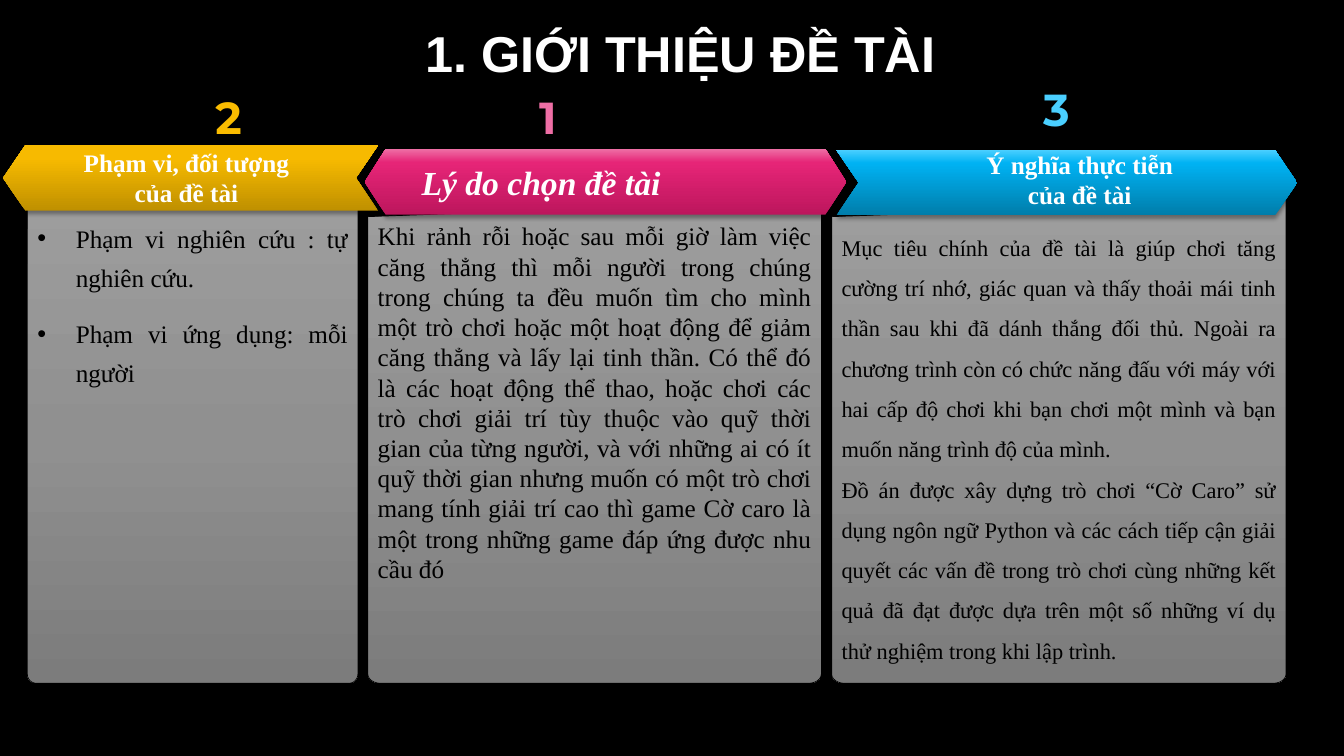
from dataclasses import dataclass
from math import cos, radians, sin

from lxml.etree import SubElement
from pptx import Presentation
from pptx.dml.color import RGBColor
from pptx.enum.shapes import MSO_SHAPE as Kind
from pptx.enum.text import MSO_ANCHOR as Anchor, PP_ALIGN as Align
from pptx.oxml.ns import qn
from pptx.util import Cm, Pt

SERIF = "Times New Roman"
BLACK, WHITE = "000000", "FFFFFF"
GREYS = ((0, "9D9D9D"), (50, "909090"), (100, "7C7C7C"))
BASE, HIGH = 17.22, 1.65
SIDE, CURVE = 0.25, 0.23


@dataclass
class Panel:
    left: float
    right: float
    near: float
    far: float
    round: float
    text: str
    style: dict


@dataclass
class Ribbon:
    kind: Kind
    left: float
    top: float
    width: float
    tones: tuple
    adjust: float
    flip: bool = False


@dataclass
class Label:
    text: str
    box: tuple
    style: dict


@dataclass
class Column:
    panel: Panel
    ribbon: Ribbon
    number: Label
    title: Label


def color(code: str) -> RGBColor:
    return RGBColor.from_string(code)


def write(shape, text: str, *, size: float, font: str = SERIF, tint: str = BLACK,
          bold: bool = False, italic: bool = False, align=Align.LEFT,
          anchor=Anchor.TOP, wrap: bool = True, lines: float = 1.0,
          gap: float = 0, bullet: bool = False) -> None:
    frame = shape.text_frame
    frame.word_wrap = wrap
    frame.vertical_anchor = anchor
    for index, line in enumerate(text.split("\n")):
        para = frame.add_paragraph() if index else frame.paragraphs[0]
        para.alignment = align
        para.line_spacing = lines
        para.space_before = para.space_after = Pt(gap)
        if bullet:
            props = para._p.get_or_add_pPr()
            props.set("marL", str(Cm(0.97)))
            props.set("indent", str(-Cm(0.97)))
            SubElement(props, qn("a:buFont"), typeface="Arial")
            SubElement(props, qn("a:buChar"), char="•")
        run = para.add_run()
        run.text = line
        face = run.font
        face.name, face.size = font, Pt(size)
        face.bold, face.italic = bold, italic
        face.color.rgb = color(tint)


def blend(shape, stops: tuple, angle: float) -> None:
    shape.fill.gradient()
    shape.fill.gradient_angle = angle
    group = shape.element.spPr.find(qn("a:gradFill")).find(qn("a:gsLst"))
    for old in list(group):
        group.remove(old)
    for place, code in stops:
        stop = SubElement(group, qn("a:gs"), pos=str(place * 1000))
        SubElement(stop, qn("a:srgbClr"), val=str(color(code)))


def shade(shape) -> None:
    effects = shape.element.spPr.find(qn("a:effectLst"))
    cast = SubElement(effects, qn("a:outerShdw"), blurRad=str(Pt(3.1)),
                      dist=str(Pt(1.8)), dir="5400000", rotWithShape="0")
    tone = SubElement(cast, qn("a:srgbClr"), val=str(color(BLACK)))
    SubElement(tone, qn("a:alpha"), val="35000")


def add_label(slide, label: Label) -> None:
    box = slide.shapes.add_textbox(*map(Cm, label.box))
    write(box, label.text, **label.style)


def add_panel(slide, panel: Panel) -> None:
    points = []
    for center, start in ((panel.left + panel.round, 180), (panel.right - panel.round, 90)):
        for step in range(0, 91, 15):
            turn = radians(start - step)
            points.append((Cm(center + panel.round * cos(turn)),
                           Cm(BASE - CURVE + CURVE * sin(turn))))
    points.append((Cm(panel.right), Cm(panel.far)))
    outline = slide.shapes.build_freeform(Cm(panel.left), Cm(panel.near))
    outline.add_line_segments(points, close=True)
    shape = outline.convert_to_shape()
    shape.shadow.inherit = False
    blend(shape, GREYS, 270)
    shape.line.color.rgb = color(BLACK)
    shape.line.width = Pt(0.5)
    frame = shape.text_frame
    frame.margin_left = frame.margin_right = Cm(SIDE)
    frame.margin_top, frame.margin_bottom = Cm(0.51), Cm(0.13)
    write(shape, panel.text, align=Align.JUSTIFY, **panel.style)


def add_ribbon(slide, ribbon: Ribbon):
    shape = slide.shapes.add_shape(ribbon.kind, Cm(ribbon.left), Cm(ribbon.top),
                                   Cm(ribbon.width), Cm(HIGH))
    shape.adjustments[0] = ribbon.adjust
    shape.shadow.inherit = False
    shape.line.fill.background()
    blend(shape, tuple(zip((0, 80, 100), ribbon.tones)), 90)
    shade(shape)
    if ribbon.flip:
        shape.element.spPr.find(qn("a:xfrm")).set("flipH", "1")
    return shape


def digit(text: str, left: float, top: float, tint: str) -> Label:
    style = dict(size=32, font="Montserrat", tint=tint, bold=True, wrap=False)
    return Label(text, (left, top, 1.32, HIGH), style)


HEAD = dict(size=18, tint=WHITE, bold=True, align=Align.CENTER)

SCOPE = "Phạm vi nghiên cứu : tự nghiên cứu.\nPhạm vi ứng dụng: mỗi người"
REASON = (
    "Khi rảnh rỗi hoặc sau mỗi giờ làm việc căng thẳng thì mỗi người trong chúng "
    "trong chúng ta đều muốn tìm cho mình một trò chơi hoặc một hoạt động để giảm "
    "căng thẳng và lấy lại tinh thần. Có thể đó là các hoạt động thể thao, hoặc "
    "chơi các trò chơi giải trí tùy thuộc vào quỹ thời gian của từng người, và với "
    "những ai có ít quỹ thời gian nhưng muốn có một trò chơi mang tính giải trí cao "
    "thì game Cờ caro là một trong những game đáp ứng được nhu cầu đó"
)
VALUE = (
    "Mục tiêu chính của đề tài là giúp chơi tăng cường trí nhớ, giác quan và thấy "
    "thoải mái tinh thần sau khi đã dánh thắng đối thủ. Ngoài ra chương trình còn "
    "có chức năng đấu với máy với hai cấp độ chơi khi bạn chơi một mình và bạn muốn "
    "năng trình độ của mình.\n"
    "Đồ án được xây dựng trò chơi “Cờ Caro” sử dụng ngôn ngữ Python và các cách "
    "tiếp cận giải quyết các vấn đề trong trò chơi cùng những kết quả đã đạt được "
    "dựa trên một số những ví dụ thử nghiệm trong khi lập trình."
)

COLUMNS = (
    Column(
        Panel(0.69, 9.02, 4.88, 5.28, 0.23, SCOPE,
              dict(size=18, lines=1.3, gap=6, bullet=True)),
        Ribbon(Kind.CHEVRON, 0.08, 3.66, 9.45, ("BF9000", "F7BA00", "FABC00"), 0.34, True),
        digit("2", 5.18, 2.13, "FABC00"),
        Label("Phạm vi, đối tượng\ncủa đề tài", (1.83, 3.58, 5.74, 2.57),
              dict(HEAD, wrap=False)),
    ),
    Column(
        Panel(9.27, 20.7, 5.46, 5.05, 0.33, REASON, dict(size=18)),
        Ribbon(Kind.HEXAGON, 9.19, 3.76, 12.14, ("BD165D", "E62577", "EE6EA5"), 0.32),
        digit("1", 13.34, 2.13, "EE6EA5"),
        Label("Lý do chọn đề tài", (),
              dict(size=24, tint=WHITE, bold=True, italic=True, anchor=Anchor.MIDDLE)),
    ),
    Column(
        Panel(20.96, 32.41, 5.46, 5.05, 0.33, VALUE, dict(size=16, lines=1.5)),
        Ribbon(Kind.CHEVRON, 21.08, 3.78, 11.61, ("007DAA", "00B2F3", "4ACFFF"), 0.34),
        digit("3", 26.04, 1.93, "4ACFFF"),
        Label("Ý nghĩa thực tiễn\ncủa đề tài", (22.78, 3.63, 8.86, 1.8), HEAD),
    ),
)

TITLE = Label("1. GIỚI THIỆU ĐỀ TÀI", (5.72, 0.58, 22.86, HIGH),
              dict(HEAD, size=36, font="Arial", anchor=Anchor.MIDDLE, lines=0.9))


def main() -> None:
    deck = Presentation()
    deck.slide_width, deck.slide_height = Cm(33.87), Cm(19.05)
    slide = deck.slides.add_slide(deck.slide_layouts[6])
    slide.background.fill.solid()
    slide.background.fill.fore_color.rgb = color(BLACK)
    for column in COLUMNS:
        add_label(slide, column.number)
        add_panel(slide, column.panel)
        shape = add_ribbon(slide, column.ribbon)
        if column.title.box:
            add_label(slide, column.title)
        else:
            write(shape, column.title.text, **column.title.style)
    add_label(slide, TITLE)
    deck.save("out.pptx")


main()
